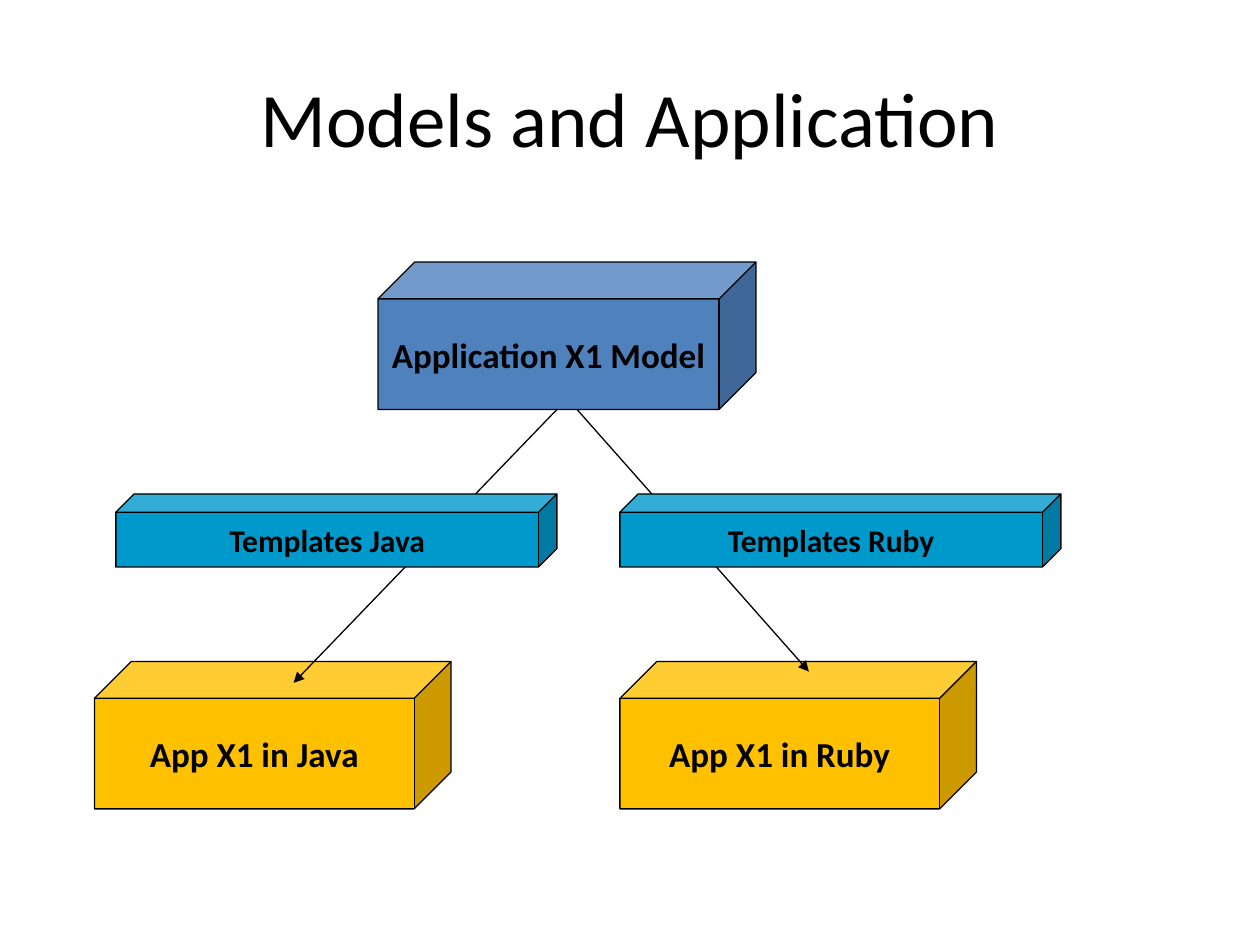
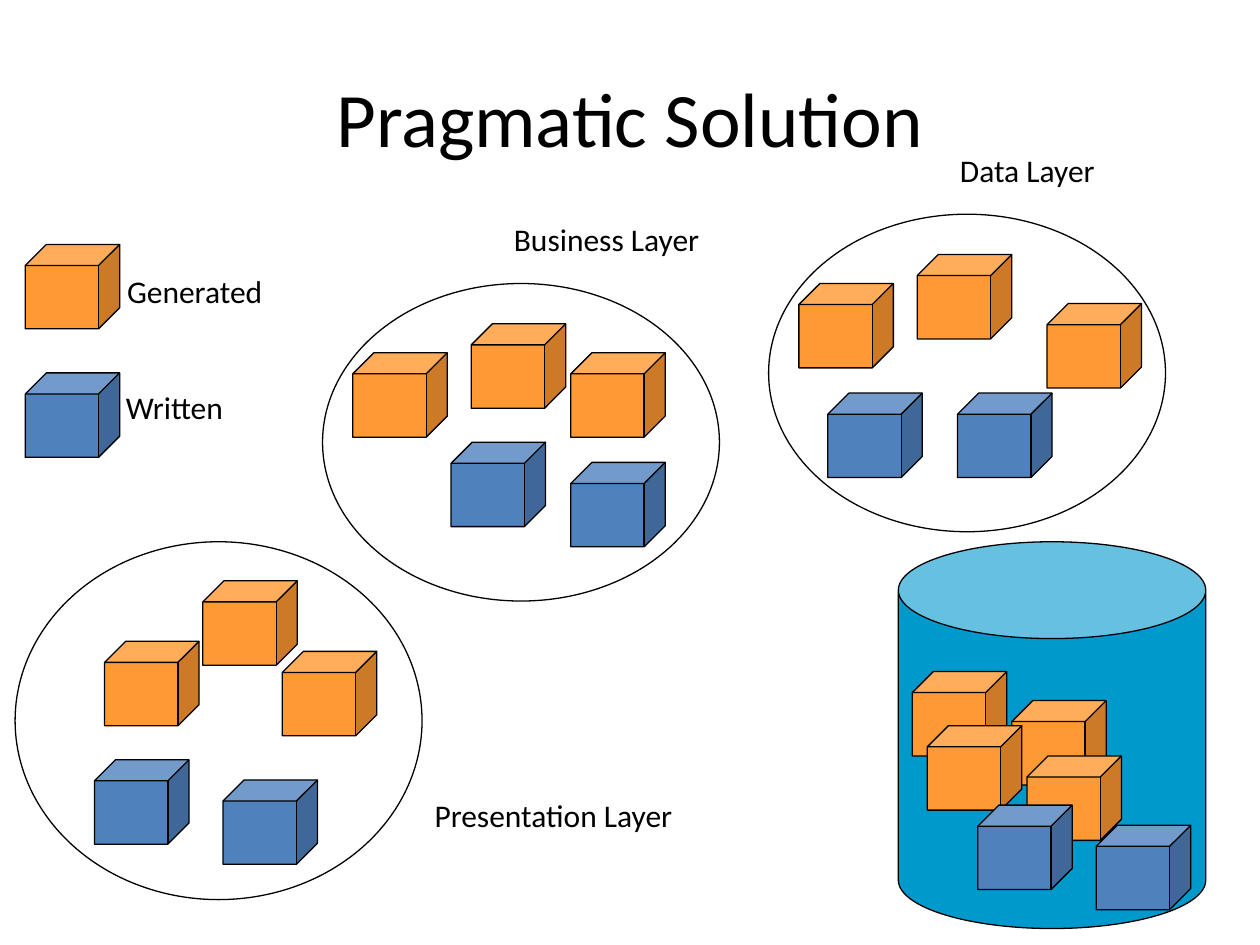
"""Build two slides on model-driven generation: models to apps, and layered solution."""
from dataclasses import dataclass

import pptx
import pptx.dml.color
import pptx.enum.shapes
import pptx.enum.text
import pptx.oxml.ns
import pptx.presentation
import pptx.shapes.autoshape
import pptx.slide
import pptx.util
from lxml import etree

RGB = pptx.dml.color.RGBColor
SHAPE = pptx.enum.shapes.MSO_SHAPE
ALIGN = pptx.enum.text.PP_ALIGN
ANCHOR = pptx.enum.text.MSO_ANCHOR

BLACK = RGB(0x00, 0x00, 0x00)
MODEL_BLUE = RGB(0x4F, 0x81, 0xBD)
TEAL = RGB(0x00, 0x99, 0xCC)
APP_YELLOW = RGB(0xFF, 0xC0, 0x00)
GENERATED_ORANGE = RGB(0xFF, 0x99, 0x33)

FONT = "Calibri"
EMU_PER_PX = 9144
OUTLINE = pptx.util.Pt(0.75)
TITLE_ONLY = 5
CUBE_SIZE = (75, 67)

Point = tuple[int, int]
Slide = pptx.slide.Slide


@dataclass(frozen=True)
class Box:
    left: int
    top: int
    width: int
    height: int

    def emu(self) -> list[int]:
        return [px(side) for side in (self.left, self.top, self.width, self.height)]


@dataclass(frozen=True)
class Block:
    box: Box
    color: RGB
    label: str
    size: int = 20


@dataclass(frozen=True)
class Layer:
    name: str
    name_box: Box
    oval: Box
    generated: list[Point]
    written: list[Point]


TITLE_BOX = Box(50, 30, 900, 125)

MODEL = Block(Box(300, 208, 300, 117), MODEL_BLUE, "Application X1 Model")
APPS = [
    Block(Box(left, 525, 283, 117), APP_YELLOW, f"App X1 in {language}")
    for language, left in (("Java", 75), ("Ruby", 492))
]
TEMPLATES = [
    Block(Box(left, 392, 350, 58), TEAL, f"Templates {language}", 18)
    for language, left in (("Java", 92), ("Ruby", 492))
]
GENERATION_ARROWS = [((442, 325), (233, 542)), ((458, 325), (642, 533))]

LAYERS = [
    Layer("Presentation Layer", Box(335, 627, 211, 40), Box(12, 430, 323, 284),
          [(83, 509), (161, 461), (224, 517)], [(75, 603), (177, 619)]),
    Layer("Business Layer", Box(398, 170, 169, 40), Box(256, 225, 315, 252),
          [(374, 257), (280, 280), (453, 280)], [(358, 351), (453, 367)]),
    Layer("Data Layer", Box(752, 115, 129, 40), Box(610, 170, 315, 252),
          [(728, 202), (634, 225), (831, 241)], [(657, 312), (760, 312)]),
]
LEGEND = [
    ("Generated", Box(91, 211, 129, 40), (20, 194), GENERATED_ORANGE),
    ("Written", Box(90, 303, 99, 40), (20, 296), MODEL_BLUE),
]
DATABASE = Box(713, 430, 244, 307)
DATABASE_LID = 0.315
DATABASE_GENERATED = [(724, 533), (803, 556), (736, 576), (815, 600)]
DATABASE_WRITTEN = [(776, 639), (870, 655)]


def px(length: int) -> int:
    return length * EMU_PER_PX


def style_text(frame: pptx.text.text.TextFrame, text: str, size: int,
               align: ALIGN = ALIGN.LEFT, bold: bool = False) -> None:
    frame.text = text
    paragraph = frame.paragraphs[0]
    paragraph.alignment = align
    font = paragraph.runs[0].font
    font.name = FONT
    font.size = pptx.util.Pt(size)
    font.bold = bold
    font.color.rgb = BLACK


def add_titled_slide(deck: pptx.presentation.Presentation, heading: str) -> Slide:
    slide = deck.slides.add_slide(deck.slide_layouts[TITLE_ONLY])
    title = slide.shapes.title
    title.left, title.top, title.width, title.height = TITLE_BOX.emu()
    style_text(title.text_frame, heading, 44, ALIGN.CENTER)
    title.text_frame.vertical_anchor = ANCHOR.MIDDLE
    return slide


def add_outlined(slide: Slide, kind: SHAPE, box: Box,
                 color: RGB | None = None) -> pptx.shapes.autoshape.Shape:
    shape = slide.shapes.add_shape(kind, *box.emu())
    shape.shadow.inherit = False
    if color is None:
        shape.fill.background()
    else:
        shape.fill.solid()
        shape.fill.fore_color.rgb = color
    shape.line.color.rgb = BLACK
    shape.line.width = OUTLINE
    return shape


def add_block(slide: Slide, block: Block) -> None:
    cube = add_outlined(slide, SHAPE.CUBE, block.box, block.color)
    style_text(cube.text_frame, block.label, block.size, ALIGN.CENTER, bold=True)
    cube.text_frame.vertical_anchor = ANCHOR.MIDDLE
    cube.text_frame.word_wrap = False


def add_cubes(slide: Slide, corners: list[Point], color: RGB) -> None:
    for corner in corners:
        add_outlined(slide, SHAPE.CUBE, Box(*corner, *CUBE_SIZE), color)


def add_caption(slide: Slide, text: str, box: Box) -> None:
    frame = slide.shapes.add_textbox(*box.emu()).text_frame
    style_text(frame, text, 18)
    frame.word_wrap = False
    frame.auto_size = pptx.enum.text.MSO_AUTO_SIZE.SHAPE_TO_FIT_TEXT


def add_arrow(slide: Slide, start: Point, end: Point) -> None:
    arrow = slide.shapes.add_connector(
        pptx.enum.shapes.MSO_CONNECTOR.STRAIGHT, *map(px, start + end))
    arrow.line.color.rgb = BLACK
    arrow.line.width = OUTLINE
    qn = pptx.oxml.ns.qn
    etree.SubElement(arrow.line._get_or_add_ln(), qn("a:tailEnd"), type="triangle")
    etree.SubElement(arrow._element.spPr, qn("a:effectLst"))


def build_models_slide(deck: pptx.presentation.Presentation) -> None:
    slide = add_titled_slide(deck, "Models and Application")
    for block in [MODEL, *APPS]:
        add_block(slide, block)
    for start, end in GENERATION_ARROWS:
        add_arrow(slide, start, end)
    for block in TEMPLATES:
        add_block(slide, block)


def build_solution_slide(deck: pptx.presentation.Presentation) -> None:
    slide = add_titled_slide(deck, "Pragmatic Solution")
    for meaning, meaning_box, corner, color in LEGEND:
        add_cubes(slide, [corner], color)
        add_caption(slide, meaning, meaning_box)
    for layer in LAYERS:
        add_outlined(slide, SHAPE.OVAL, layer.oval)
        add_cubes(slide, layer.generated, GENERATED_ORANGE)
        add_cubes(slide, layer.written, MODEL_BLUE)
        add_caption(slide, layer.name, layer.name_box)
    database = add_outlined(slide, SHAPE.CAN, DATABASE, TEAL)
    database.adjustments[0] = DATABASE_LID
    add_cubes(slide, DATABASE_GENERATED, GENERATED_ORANGE)
    add_cubes(slide, DATABASE_WRITTEN, MODEL_BLUE)


def main() -> None:
    deck = pptx.Presentation()
    deck.slide_width, deck.slide_height = px(1000), px(750)
    build_models_slide(deck)
    build_solution_slide(deck)
    deck.save("out.pptx")


if __name__ == "__main__":
    main()
